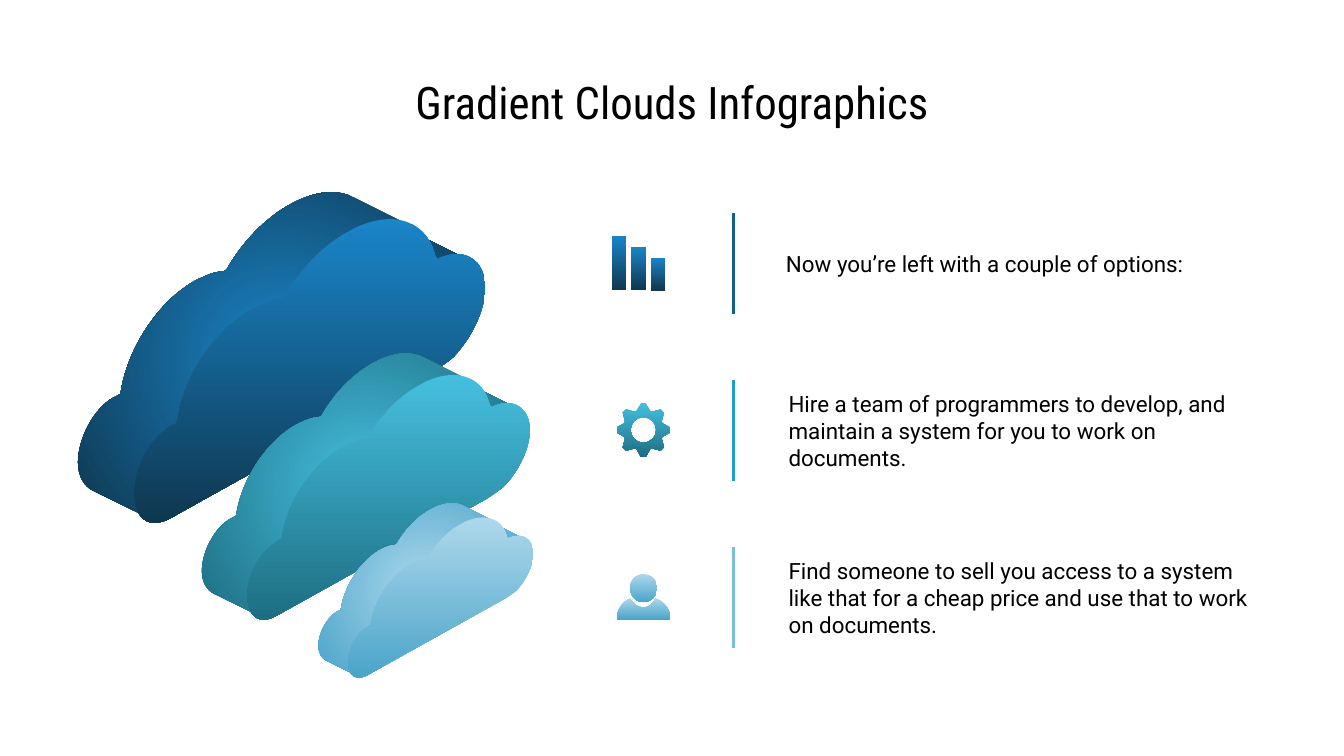
"""Build the gradient clouds slide with three clouds, icons and captions."""
from dataclasses import dataclass
from math import cos, radians, sin

from lxml import etree
from pptx import Presentation
from pptx.dml.color import RGBColor
from pptx.enum import shapes, text
from pptx.oxml import ns
from pptx.util import Pt

UNIT = 0.72
FRONT = [
    (190, 0), (181, 0, 170, 3, 160, 9), (141, 19, 124, 37, 112, 57),
    (111, 58, 110, 59, 109, 59), (102, 60, 95, 63, 88, 67),
    (60, 82, 36, 118, 32, 150), (31, 152, 31, 153, 29, 153), (26, 155),
    (11, 164, 0, 185, 0, 204), (0, 218, 6, 226, 15, 226),
    (19, 226, 22, 225, 26, 223), (220, 115), (226, 111, 234, 106, 238, 102),
    (251, 88, 261, 68, 261, 51), (261, 35, 252, 26, 240, 26),
    (236, 26, 232, 27, 227, 29), (226, 30), (224, 28),
    (220, 10, 207, 0, 190, 0),
]
SIDE = [
    (146, -20), (137, -20, 127, -17, 116, -11), (98, -1, 81, 16, 69, 37),
    (69, 38, 67, 38, 66, 39), (60, 39, 53, 42, 45, 46),
    (18, 61, -5, 96, -10, 128), (-10, 130, -11, 131, -12, 131), (-16, 133),
    (-30, 141, -42, 163, -42, 181), (-42, 192, -37, 199, -31, 202),
    (10, 222), (12, 223, 15, 224, 17, 224), (20, 224, 24, 223, 28, 221),
    (219, 115), (225, 111, 233, 106, 236, 102), (249, 89, 259, 69, 259, 52),
    (259, 40, 254, 32, 246, 29), (216, 14), (215, 13),
    (212, 9, 208, 6, 203, 4), (163, -16), (158, -19, 152, -20, 146, -20),
]
HEAD = [
    (20, 0), (22, 0, 25, 1, 27, 3), (31, 7, 31, 14, 27, 18),
    (25, 20, 22, 21, 20, 21), (17, 21, 15, 20, 13, 18),
    (9, 14, 9, 7, 13, 3), (15, 1, 17, 0, 20, 0),
]
SHOULDERS = [
    (29, 18), (36, 21, 40, 27, 40, 34), (0, 34), (0, 27, 4, 21, 10, 18),
    (12, 22, 16, 25, 20, 25), (24, 25, 27, 22, 29, 18),
]
HOLE = [
    (0, -9.5), (-5.25, -9.5, -9.5, -5.25, -9.5, 0), (-9.5, 5.25, -5.25, 9.5, 0, 9.5),
    (5.25, 9.5, 9.5, 5.25, 9.5, 0), (9.5, -5.25, 5.25, -9.5, 0, -9.5),
]


@dataclass
class Step:
    """One cloud with its icon, divider and caption."""
    caption: str
    caption_left: float
    left: float
    top: float
    scale: float
    light: str
    dark: str
    divider: str
    icon: list
    icon_left: float
    icon_top: float


def rgb(value: str) -> RGBColor:
    """Turn a hex string into a colour."""
    return RGBColor.from_string(value)


def polar(radius: float, angle: float) -> tuple:
    """Give a point around the origin, with the angle in degrees from the top."""
    return radius * sin(radians(angle)), -radius * cos(radians(angle))


def bend(sp, contours: list) -> None:
    """Merge the three vertices of each curve segment into one cubic curve."""
    vertices = iter(list(sp.element.spPr.iter(ns.qn("a:lnTo"))))
    for contour in contours:
        for seg in contour[1:]:
            first = next(vertices)
            if len(seg) == 6:
                curve = etree.Element(ns.qn("a:cubicBezTo"))
                first.getparent().replace(first, curve)
                curve.append(first[0])
                for _ in range(2):
                    vertex = next(vertices)
                    vertex.getparent().remove(vertex)
                    curve.append(vertex[0])


def add_outline(s, contours: list, left: float, top: float, scale: float,
                light: str, dark: str, radial: bool = False) -> None:
    """Draw closed contours as one shape with a two-colour gradient."""
    builder = None
    for contour in contours:
        pts = [(Pt(left + seg[i] * scale), Pt(top + seg[i + 1] * scale))
               for seg in contour for i in range(0, len(seg), 2)]
        if builder is None:
            builder = s.shapes.build_freeform(*pts[0], scale=1.0)
        else:
            builder.move_to(*pts[0])
        builder.add_line_segments(pts[1:], close=True)
    sp = builder.convert_to_shape()
    bend(sp, contours)
    sp.shadow.inherit = False
    sp.line.fill.background()
    sp.fill.gradient()
    sp.fill.gradient_angle = 270
    for stop, color in zip(sp.fill.gradient_stops, (light, dark)):
        stop.color.rgb = rgb(color)
    if radial:
        grad = sp.element.spPr.find(ns.qn("a:gradFill"))
        circle = etree.Element(ns.qn("a:path"), {"path": "circle"})
        etree.SubElement(circle, ns.qn("a:fillToRect"), dict.fromkeys("ltrb", "50000"))
        grad.replace(grad.find(ns.qn("a:lin")), circle)


def set_text(sp, value: str, *, left: float, top: float, width: float, height: float,
             size: float, font: str, align=text.PP_ALIGN.LEFT) -> None:
    """Place a text shape and write one formatted paragraph in it."""
    sp.left, sp.top, sp.width, sp.height = Pt(left), Pt(top), Pt(width), Pt(height)
    tf = sp.text_frame
    tf.word_wrap = True
    tf.auto_size = text.MSO_AUTO_SIZE.NONE
    tf.vertical_anchor = text.MSO_ANCHOR.MIDDLE
    tf.margin_left = tf.margin_right = tf.margin_top = tf.margin_bottom = Pt(7.2)
    p = tf.paragraphs[0]
    p.alignment = align
    r = p.add_run()
    r.text = value
    r.font.size, r.font.name, r.font.color.rgb = Pt(size), font, rgb("000000")


def add_divider(s, x: float, middle: float, color: str) -> None:
    """Draw a vertical divider centred on its row."""
    line = s.shapes.add_connector(shapes.MSO_CONNECTOR.STRAIGHT,
                                  Pt(x), Pt(middle - 27), Pt(x), Pt(middle + 27))
    line.line.color.rgb = rgb(color)
    line.line.width = Pt(1.5)
    etree.SubElement(line.element.spPr, ns.qn("a:effectLst"))


def main() -> None:
    """Build and save the slide."""
    prs = Presentation()
    prs.slide_width, prs.slide_height = Pt(720), Pt(405)
    s = prs.slides.add_slide(prs.slide_layouts[5])
    set_text(s.shapes.title, "Gradient Clouds Infographics", left=36, top=31.7, width=648,
             height=45.4, size=24, font="Roboto Condensed", align=text.PP_ALIGN.CENTER)

    bars = [[[(x, 40 - h), (x + 11, 40 - h), (x + 11, 40), (x, 40)]]
            for x, h in ((0, 40), (14.5, 32), (29, 24))]
    teeth = [polar(radius, 45 * i + angle) for i in range(8)
             for radius, angle in ((15, -20), (20, -5), (20, 5), (15, 20))]
    steps = [
        Step("Now you’re left with a couple of options:", 414, 72, 117.4, 0.72,
             "1A85C8", "0F3750", "125E8D", bars, 327.6, 126.7),
        Step("Hire a team of programmers to develop, and maintain a system for you to "
             "work on documents.", 415.4, 132.5, 200.9, 0.58,
             "45BFDE", "1E6E83", "229FBF", [[teeth, HOLE]], 344.7, 230.4),
        Step("Find someone to sell you access to a system like that for a cheap price "
             "and use that to work on documents.", 415.4, 186.5, 277.2, 0.38,
             "ADD8EB", "4BA4CA", "78BFDE", [[HEAD], [SHOULDERS]], 330.4, 307.5),
    ]
    for i, step in enumerate(steps):
        middle = 141.3 + 89.4 * i
        colors = step.light, step.dark
        add_outline(s, [SIDE], step.left, step.top, step.scale, *colors, radial=True)
        add_outline(s, [FRONT], step.left, step.top, step.scale, *colors)
        for part in step.icon:
            add_outline(s, part, step.icon_left, step.icon_top, UNIT, *colors)
        set_text(s.shapes.add_textbox(0, 0, 0, 0), step.caption, left=step.caption_left,
                 top=middle - 29.9, width=268.6, height=59.8, size=12, font="Roboto")
        add_divider(s, 393.1, middle, step.divider)
    prs.save("out.pptx")


if __name__ == "__main__":
    main()
